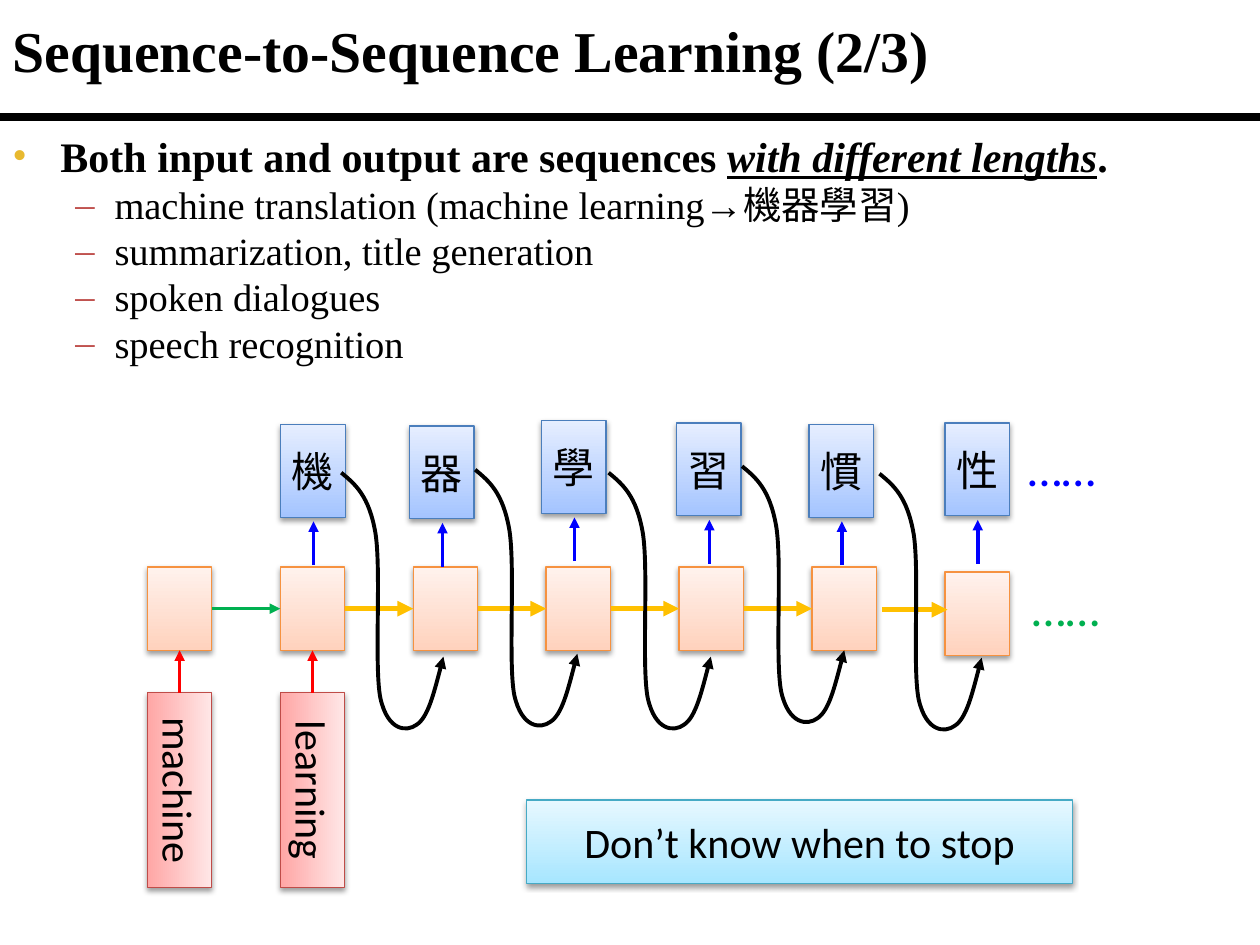
from itertools import pairwise

from pptx import Presentation
from pptx.dml.color import RGBColor
from pptx.enum.shapes import MSO_CONNECTOR, MSO_SHAPE
from pptx.enum.text import MSO_ANCHOR, PP_ALIGN
from pptx.oxml import parse_xml
from pptx.oxml.ns import nsdecls, qn
from pptx.util import Cm, Pt

SHADOW = (
    '<a:effectLst {}><a:outerShdw blurRad="40000" dist="20000" dir="5400000" rotWithShape="0">'
    '<a:srgbClr val="000000"><a:alpha val="38000"/></a:srgbClr></a:outerShdw></a:effectLst>'
)
LOOP = [
    (0.28, 0.23), (0.56, 0.46), (0.69, 1.22),
    (0.81, 1.98), (0.66, 3.91), (0.79, 4.55),
    (0.94, 5.21), (1.32, 5.23), (1.52, 5.08),
    (1.75, 4.93), (1.9, 4.32), (2.06, 3.71),
]
ORANGE = ("FFD2BD", "FFF2ED", "F69240")
BLUE = ("A4C4FF", "E6EEFF", "4B7EBC")
RED = ("FFA6A5", "FFE7E7", "BF4C48")
CYAN = ("A7E6FF", "E7F8FF", "46AAC5")


def rgb(value):
    return RGBColor.from_string(value)


def element(template):
    return parse_xml(template.format(nsdecls("a")))


class Deck:
    serif = "Times New Roman"
    sans = "Calibri"

    def __init__(self, slide):
        self.s = slide

    def run(self, p, text, size, font=sans, color="000000", bold=False, italic=False):
        r = p.add_run()
        r.text = text
        r.font.name = font
        r.font.size = Pt(size)
        r.font.color.rgb = rgb(color)
        r.font.bold = bold
        r.font.italic = italic
        r.font.underline = italic

    def box(self, x, y, w, h, colors, text="", angle=90, vertical=False):
        sp = self.s.shapes.add_shape(MSO_SHAPE.RECTANGLE, Cm(x), Cm(y), Cm(w), Cm(h))
        sp.fill.gradient()
        sp.fill.gradient_angle = angle
        for stop, color in zip(sp.fill.gradient_stops, colors):
            stop.color.rgb = rgb(color)
        sp.line.color.rgb = rgb(colors[2])
        sp.line.width = Pt(0.75)
        sp._element.spPr.append(element(SHADOW))
        if text:
            tf = sp.text_frame
            tf.margin_left = tf.margin_right = tf.margin_top = tf.margin_bottom = 0
            tf.vertical_anchor = MSO_ANCHOR.MIDDLE
            if vertical:
                tf._txBody.bodyPr.set("vert", "vert")
            p = tf.paragraphs[0]
            p.alignment = PP_ALIGN.CENTER
            self.run(p, text, 24)
        return sp

    def text(self, x, y, w, h):
        tf = self.s.shapes.add_textbox(Cm(x), Cm(y), Cm(w), Cm(h)).text_frame
        tf.word_wrap = True
        return tf

    def bullet(self, p, char, color, left, hang, before):
        p.space_before = Pt(before)
        pPr = p._p.get_or_add_pPr()
        pPr.set("marL", str(Cm(left)))
        pPr.set("indent", str(-Cm(hang)))
        pPr.append(element('<a:buClr {}><a:srgbClr val="%s"/></a:buClr>' % color))
        pPr.append(element('<a:buFont {} typeface="%s"/>' % self.serif))
        pPr.append(element('<a:buChar {} char="%s"/>' % char))

    def stroke(self, sp, color, width, arrow):
        sp.line.color.rgb = rgb(color)
        sp.line.width = Pt(width)
        if arrow:
            sp.line._get_or_add_ln().append(element('<a:tailEnd {} type="triangle"/>'))

    def line(self, x1, y1, x2, y2, color, width, arrow=True):
        c = self.s.shapes.add_connector(MSO_CONNECTOR.STRAIGHT, Cm(x1), Cm(y1), Cm(x2), Cm(y2))
        self.stroke(c, color, width, arrow)
        c._element.spPr.append(element("<a:effectLst {}/>"))
        return c

    def join(self, start, start_side, end, end_side, color, width):
        c = self.line(0, 0, 0, 0, color, width)
        c.begin_connect(start, start_side)
        c.end_connect(end, end_side)

    def loop(self, x, y):
        fb = self.s.shapes.build_freeform(Cm(x), Cm(y))
        fb.add_line_segments([(Cm(x + dx), Cm(y + dy)) for dx, dy in LOOP], close=False)
        sp = fb.convert_to_shape()
        segments = list(sp._element.iter(qn("a:lnTo")))
        for i in range(0, len(segments), 3):
            curve = element("<a:cubicBezTo {}/>")
            segments[i].addprevious(curve)
            for segment in segments[i:i + 3]:
                curve.append(segment[0])
                segment.getparent().remove(segment)
        sp.shadow.inherit = False
        sp.fill.background()
        self.stroke(sp, "000000", 2.25, True)


def main():
    prs = Presentation()
    prs.slide_width, prs.slide_height = Cm(25.4), Cm(19.05)
    d = Deck(prs.slides.add_slide(prs.slide_layouts[6]))

    d.line(0, 2.36, 25.4, 2.36, "000000", 4.5, arrow=False)
    tf = d.text(0, 0, 25.4, 2.01)
    tf.vertical_anchor = MSO_ANCHOR.MIDDLE
    d.run(tf.paragraphs[0], "Sequence-to-Sequence Learning (2/3)", 33, d.serif, bold=True)

    tf = d.text(0, 2.51, 25.4, 5.38)
    p = tf.paragraphs[0]
    d.bullet(p, "•", "E8B92F", 0.97, 0.97, 3.6)
    d.run(p, "Both input and output are sequences ", 24, d.serif, bold=True)
    d.run(p, "with different lengths", 24, d.serif, bold=True, italic=True)
    d.run(p, ".", 24, d.serif, bold=True)
    for task in (
        "machine translation (machine learning→機器學習)",
        "summarization, title generation",
        "spoken dialogues",
        "speech recognition",
    ):
        p = tf.add_paragraph()
        d.bullet(p, "–", "C0504D", 2.06, 0.79, 0)
        d.run(p, task, 22, d.serif)

    tops = [11.43] * 6 + [11.53]
    cells = [d.box(2.97 + 2.68 * i, y, 1.3, 1.68, ORANGE) for i, y in enumerate(tops)]
    for i, (left, right) in enumerate(pairwise(cells[:-1])):
        color, width = ("FFC000", 3) if i else ("00B050", 2)
        d.join(left, 3, right, 1, color, width)
    d.line(17.78, 12.29, 19.1, 12.29, "FFC000", 3)

    for i, word in enumerate(("machine", "learning")):
        source = d.box(2.97 + 2.68 * i, 13.96, 1.3, 3.94, RED, word, angle=0, vertical=True)
        d.join(source, 0, cells[i], 2, "FF0000", 2)

    outputs = [
        ("機", 5.66, 8.56), ("器", 8.26, 8.59), ("學", 10.92, 8.48),
        ("習", 13.64, 8.53), ("慣", 16.31, 8.56), ("性", 19.05, 8.53),
    ]
    for char, x, y in outputs:
        d.box(x, y, 1.3, 1.87, BLUE, char)
        d.line(x + 0.66, y + 2.83, x + 0.66, y + 1.95, "0000FF", 2)

    for x, y, color in ((20.55, 11.51, "00B050"), (20.47, 8.69, "0000FF")):
        d.run(d.text(x, y, 3.07, 1.45).paragraphs[0], "……", 28, color=color)

    for x, y in ((6.88, 9.53), (9.58, 9.47), (12.27, 9.53), (14.96, 9.4), (17.73, 9.55)):
        d.loop(x, y)

    d.box(10.62, 16.13, 11, 1.68, CYAN, "Don’t know when to stop")
    prs.save("out.pptx")


if __name__ == "__main__":
    main()
